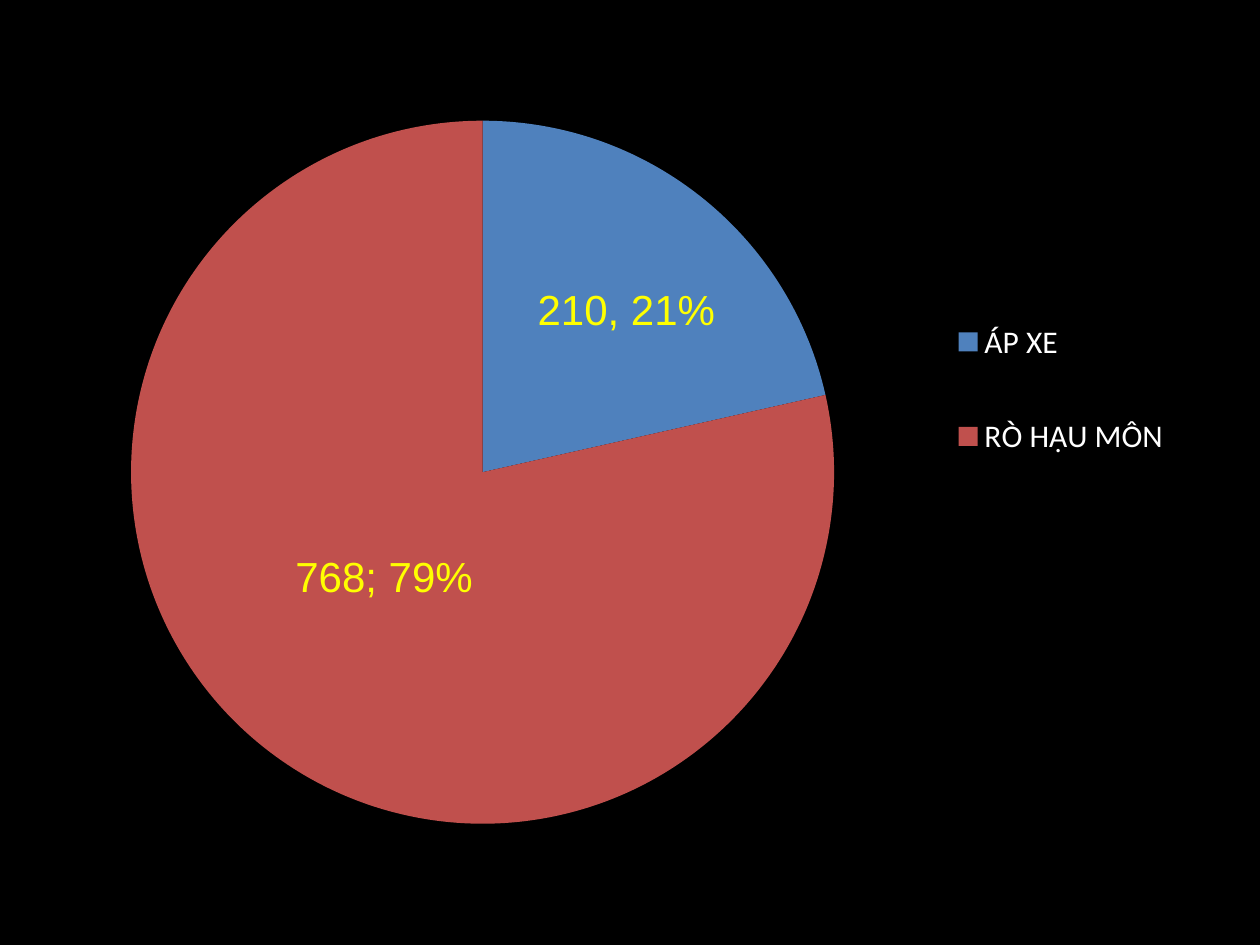
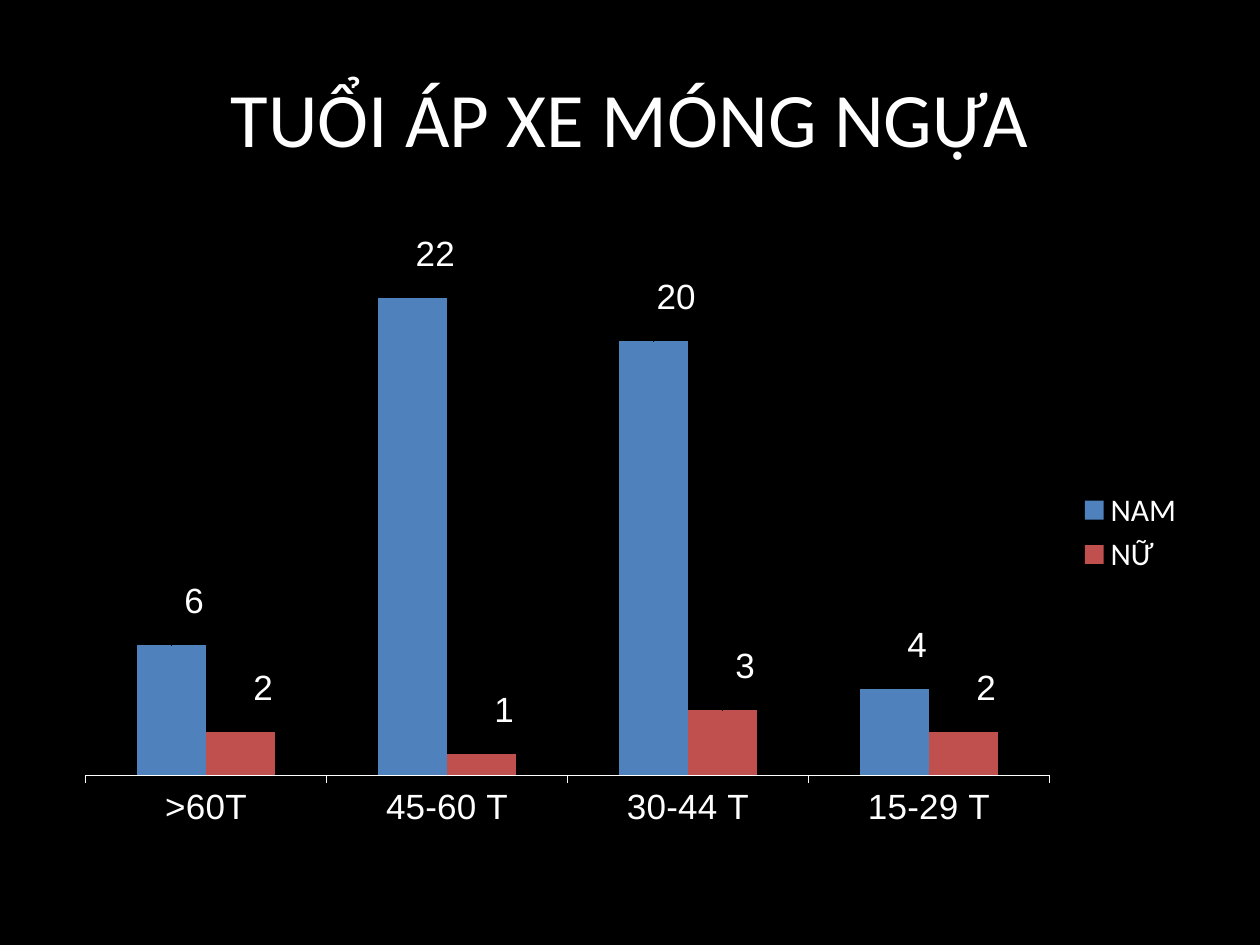
from lxml import etree
from pptx import Presentation
from pptx.chart.data import CategoryChartData
from pptx.dml.color import RGBColor
from pptx.enum.chart import (XL_CHART_TYPE as CT, XL_LABEL_POSITION as LP,
                             XL_LEGEND_POSITION, XL_TICK_MARK)
from pptx.enum.text import MSO_ANCHOR, PP_ALIGN
from pptx.oxml import parse_xml
from pptx.oxml.ns import nsdecls, qn
from pptx.util import Inches, Pt

# Content
PIE_CATS = ["ÁP XE", "RÒ HẬU MÔN"]
PIE_SERIES = {"Series 1": (210, 768)}
PIE_CUSTOM_LABEL = "210, 21%"
PIE_NUDGES = [(0.03, -0.03), (0.01, -0.04)]
AGE_TITLE = "TUỔI ÁP XE MÓNG NGỰA"
AGE_CATS = [">60T", "45-60 T", "30-44 T", "15-29 T"]
AGE_SERIES = {"NAM": (6, 22, 20, 4), "NỮ": (2, 1, 3, 2)}
AGE_NUDGE = (0.02, -0.03)

# Shared look
BLACK = RGBColor(0, 0, 0)
WHITE = RGBColor(255, 255, 255)
YELLOW = RGBColor(255, 255, 0)
BLUE = RGBColor(0x4F, 0x81, 0xBD)
RED = RGBColor(0xC0, 0x50, 0x4D)
PALETTE = [BLUE, RED]
HEAD, BODY = "Calibri", "Arial"
W, H = 10, 7.5
MARGIN = 0.05 * W
CONTENT_W = W - 2 * MARGIN
BOTTOM = 6.7


def set_font(font, size, name=HEAD, color=WHITE):
    font.size, font.name, font.bold = Pt(size), name, False
    font.color.rgb = color


def add_text(s, text, box, size=18, name=HEAD, color=WHITE, align=PP_ALIGN.CENTER):
    tf = s.shapes.add_textbox(*map(Inches, box)).text_frame
    tf.word_wrap = True
    tf.vertical_anchor = MSO_ANCHOR.MIDDLE
    p = tf.paragraphs[0]
    p.alignment = align
    r = p.add_run()
    r.text = text
    set_font(r.font, size, name, color)


def layout_xml(target=None, **parts):
    """Manual layout from shares of the chart's size."""
    rows = f'<c:layoutTarget val="{target}"/>' if target else ""
    if "w" in parts:
        rows += '<c:xMode val="edge"/><c:yMode val="edge"/>'
    rows += "".join(f'<c:{k} val="{v}"/>' for k, v in parts.items())
    return parse_xml(f'<c:layout {nsdecls("c")}><c:manualLayout>{rows}'
                     '</c:manualLayout></c:layout>')


def put_layout(parent, layout, index):
    for old in parent.findall(qn("c:layout")):
        parent.remove(old)
    parent.insert(index, layout)


def new_slide(prs):
    s = prs.slides.add_slide(prs.slide_layouts[6])
    s.background.fill.solid()
    s.background.fill.fore_color.rgb = BLACK
    return s


def add_chart(s, kind, cats, series, top, plot_area):
    data = CategoryChartData()
    data.categories = cats
    for name, values in series.items():
        data.add_series(name, values)
    box = (MARGIN, top, CONTENT_W, BOTTOM - top)
    chart = s.shapes.add_chart(kind, *map(Inches, box), data).chart
    chart.has_title = False
    set_font(chart.font, 18)
    chart.has_legend = True
    chart.legend.position = XL_LEGEND_POSITION.RIGHT
    chart.legend.include_in_layout = False
    space = chart._chartSpace
    space.find(qn("c:txPr")).addprevious(parse_xml(
        f'<c:spPr {nsdecls("c", "a")}><a:noFill/><a:ln><a:noFill/></a:ln></c:spPr>'))
    area = space.find(".//" + qn("c:plotArea"))
    put_layout(area, layout_xml("inner", **dict(zip("xywh", plot_area))), 0)
    return chart


def label_point(series, i, nudge, position, size, color=WHITE, text=None):
    """Style one data label, move it by shares of the chart; return its element."""
    label = series.points[i].data_label
    if text:
        r = label.text_frame.paragraphs[0].add_run()
        r.text = text
        set_font(r.font, size, BODY, color)
    else:
        set_font(label.font, size, BODY, color)
    label.position = position
    el = series._element.findall(".//" + qn("c:dLbl"))[i]
    put_layout(el, layout_xml(x=nudge[0], y=nudge[1]), 1)
    return el


def fill(fmt, color):
    fmt.fill.solid()
    fmt.fill.fore_color.rgb = color


def pie_slide(prs):
    chart = add_chart(new_slide(prs), CT.PIE, PIE_CATS, PIE_SERIES, 0.42,
                      (0.06, 0.06, 0.62, 0.94))
    put_layout(chart.legend._element, layout_xml(x=0.78, y=0.27, w=0.2, h=0.31), 1)
    plot = chart.plots[0]
    plot.vary_by_categories = True
    ser = plot.series[0]
    for i, (color, nudge) in enumerate(zip(PALETTE, PIE_NUDGES)):
        fill(ser.points[i].format, color)
        el = label_point(ser, i, nudge, LP.CENTER, 24, YELLOW,
                         text=PIE_CUSTOM_LABEL if i == 0 else None)
        el.find(qn("c:showPercent")).set("val", "1")
        etree.SubElement(el, qn("c:separator")).text = "; "


def age_slide(prs):
    s = new_slide(prs)
    add_text(s, AGE_TITLE, (MARGIN, 0.04 * H, CONTENT_W, 1.25), size=44)
    chart = add_chart(s, CT.COLUMN_CLUSTERED, AGE_CATS, AGE_SERIES, 1.75,
                      (0.02, 0.02, 0.85, 0.87))
    plot = chart.plots[0]
    plot.gap_width, plot.overlap = 150, 0
    plot.vary_by_categories = False
    for ser, color in zip(plot.series, PALETTE):
        fill(ser.format, color)
        for i in range(len(AGE_CATS)):
            label_point(ser, i, AGE_NUDGE, LP.OUTSIDE_END, 20)
    # Axes
    val, cat = chart.value_axis, chart.category_axis
    val.visible = val.has_major_gridlines = False
    val.minimum_scale, val.maximum_scale = 0, 25
    cat.major_tick_mark = XL_TICK_MARK.OUTSIDE
    cat.format.line.color.rgb = WHITE
    set_font(cat.tick_labels.font, 20, BODY)


def main():
    prs = Presentation()
    prs.slide_width, prs.slide_height = Inches(W), Inches(H)
    pie_slide(prs)
    age_slide(prs)
    prs.save("out.pptx")


if __name__ == "__main__":
    main()
